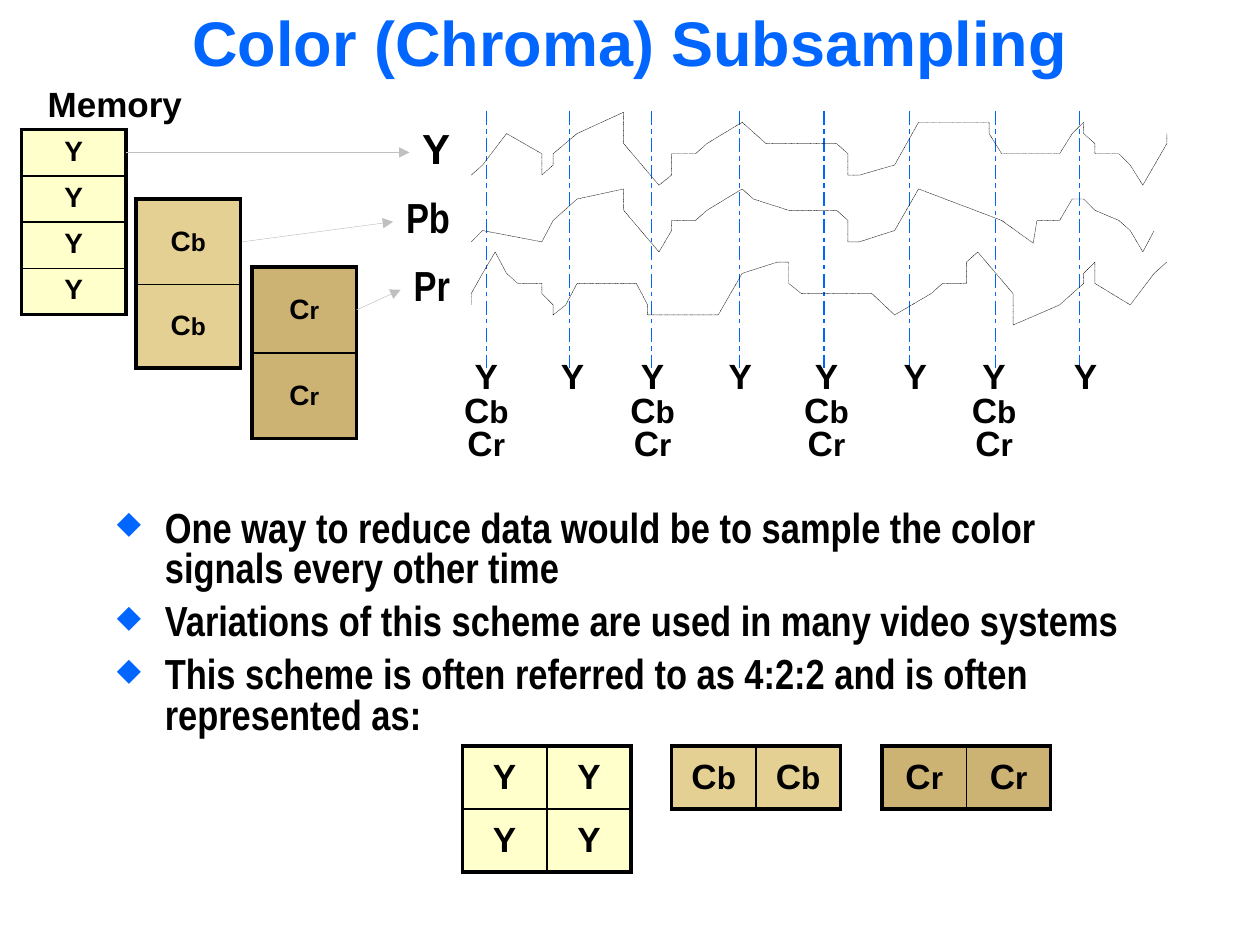
from pptx import Presentation
from pptx.dml.color import RGBColor
from pptx.enum.dml import MSO_LINE
from pptx.enum.shapes import MSO_CONNECTOR
from pptx.enum.text import MSO_ANCHOR, MSO_AUTO_SIZE, PP_ALIGN
from pptx.oxml import parse_xml
from pptx.oxml.ns import nsdecls, qn
from pptx.util import Inches, Pt
from lxml import etree

COLORS = {"blue": "0066FF", "black": "000000", "gray": "C0C0C0",
          "Y": "FFFFCC", "Cb": "E5D093", "Cr": "CCB374"}
NO_STYLE = "{2D5ABB26-0587-4C30-8999-92F81FD0307C}"


def rgb(name):
    return RGBColor.from_string(COLORS[name])


class Deck:
    sans = "Arial"
    narrow = "Arial Narrow"
    outer, inner = 2.25, 1

    def __init__(self, width, height):
        self.prs = Presentation()
        self.prs.slide_width, self.prs.slide_height = Inches(width), Inches(height)
        self.slide = self.prs.slides.add_slide(self.prs.slide_layouts[6])
        self.shapes = self.slide.shapes

    def run(self, para, text, size, font=sans, color="black"):
        run = para.add_run()
        run.text = text
        run.font.size, run.font.name, run.font.bold = Pt(size), font, True
        run.font.color.rgb = rgb(color)

    def sample(self, para, name, size):
        """A signal name whose second letter is a little smaller."""
        para.alignment = PP_ALIGN.CENTER
        self.run(para, name[0], size)
        if name[1:]:
            self.run(para, name[1:], size - 2)

    def box(self, x, y, w, h, wrap=False):
        frame = self.shapes.add_textbox(*map(Inches, (x, y, w, h))).text_frame
        frame.word_wrap = wrap
        frame.auto_size = MSO_AUTO_SIZE.SHAPE_TO_FIT_TEXT
        return frame

    def title(self, text):
        frame = self.box(0, 0.06, 10, 0.67, wrap=True)
        frame.auto_size = MSO_AUTO_SIZE.NONE
        frame.vertical_anchor = MSO_ANCHOR.MIDDLE
        frame.margin_left = frame.margin_right = Inches(0.05)
        para = frame.paragraphs[0]
        para.alignment, para.line_spacing = PP_ALIGN.CENTER, 0.75
        self.run(para, text, 36, color="blue")

    def label(self, place, text, size, font=sans, align=PP_ALIGN.RIGHT):
        para = self.box(*place).paragraphs[0]
        para.alignment, para.line_spacing = align, 0.8
        self.run(para, text, size, font)

    def stack(self, place, names):
        frame = self.box(*place)
        for i, name in enumerate(names):
            para = frame.add_paragraph() if i else frame.paragraphs[0]
            para.line_spacing = 0.8
            self.sample(para, name, 20)

    def bullets(self, place, items):
        frame = self.box(*place, wrap=True)
        for i, item in enumerate(items):
            para = frame.add_paragraph() if i else frame.paragraphs[0]
            para.line_spacing, para.space_before = 0.8, Pt(7.2)
            props = para._p.get_or_add_pPr()
            props.set("marL", str(Inches(0.38)))
            props.set("indent", str(-Inches(0.38)))
            color = etree.SubElement(props, qn("a:buClr"))
            etree.SubElement(color, qn("a:srgbClr"), val=COLORS["blue"])
            etree.SubElement(props, qn("a:buSzPct"), val="75000")
            etree.SubElement(props, qn("a:buChar"), char="◆")
            self.run(para, item, 24, self.narrow)

    def edge(self, cell, side, width, color="black", dash="solid"):
        cell._tc.get_or_add_tcPr().append(parse_xml(
            f'<a:ln{side} {nsdecls("a")} w="{Pt(width)}"><a:solidFill>'
            f'<a:srgbClr val="{COLORS[color]}"/></a:solidFill>'
            f'<a:prstDash val="{dash}"/></a:ln{side}>'))

    def table(self, x, y, cols, rows):
        size = map(Inches, (x, y, sum(cols), sum(rows)))
        table = self.shapes.add_table(len(rows), len(cols), *size).table
        table.first_row = table.horz_banding = False
        table._tbl.tblPr.find(qn("a:tableStyleId")).text = NO_STYLE
        for col, width in zip(table.columns, cols):
            col.width = Inches(width)
        for row, height in zip(table.rows, rows):
            row.height = Inches(height)
        return table

    def memory(self, x, y, cols, rows, name, size, anchor=MSO_ANCHOR.MIDDLE):
        """A block of equal samples: thick frame, thin inner lines."""
        table = self.table(x, y, cols, rows)
        for r in range(len(rows)):
            for c in range(len(cols)):
                cell = table.cell(r, c)
                ends = {"L": c == 0, "R": c == len(cols) - 1,
                        "T": r == 0, "B": r == len(rows) - 1}
                for side, end in ends.items():
                    self.edge(cell, side, self.outer if end else self.inner)
                cell.fill.solid()
                cell.fill.fore_color.rgb = rgb(name)
                cell.vertical_anchor = anchor
                self.sample(cell.text_frame.paragraphs[0], name, size)

    def clock(self, x, y, cols, rows):
        """Dashed lines between the columns mark the sampling times."""
        table = self.table(x, y, cols, rows)
        for r in range(len(rows)):
            for c in range(len(cols)):
                cell = table.cell(r, c)
                if c > 0:
                    self.edge(cell, "L", 1, "blue", "sysDashDot")
                if c < len(cols) - 1:
                    self.edge(cell, "R", 1, "blue", "sysDashDot")
                cell.fill.background()

    def wave(self, points):
        spots = [(Inches(x), Inches(y)) for x, y in points]
        pen = self.shapes.build_freeform(*spots[0])
        pen.add_line_segments(spots[1:], close=False)
        shape = pen.convert_to_shape()
        shape.shadow.inherit = False
        shape.fill.background()
        shape.line.color.rgb = rgb("black")
        shape.line.width, shape.line.dash_style = Pt(0.25), MSO_LINE.ROUND_DOT

    def arrow(self, *ends):
        line = self.shapes.add_connector(MSO_CONNECTOR.STRAIGHT, *map(Inches, ends))
        line.line.color.rgb, line.line.width = rgb("gray"), Pt(0.25)
        etree.SubElement(line.line._get_or_add_ln(), qn("a:tailEnd"), type="triangle")
        etree.SubElement(line._element.spPr, qn("a:effectLst"))


LUMA = [
    (3.74, 1.39), (3.83, 1.31), (4.02, 1.06), (4.3, 1.22), (4.3, 1.39), (4.39, 1.31),
    (4.39, 1.22), (4.58, 1.06), (4.95, 0.89), (4.95, 1.14), (5.23, 1.47), (5.33, 1.39),
    (5.33, 1.22), (5.52, 1.22), (5.61, 1.14), (5.89, 0.97), (6.08, 1.14), (6.64, 1.14),
    (6.73, 1.22), (6.73, 1.39), (6.82, 1.39), (7.1, 1.31), (7.29, 0.97), (7.85, 0.97),
    (7.85, 1.06), (7.95, 1.22), (8.41, 1.22), (8.51, 1.06), (8.6, 0.97), (8.6, 1.06),
    (8.69, 1.14), (8.69, 1.22), (8.88, 1.22), (8.97, 1.31), (9.07, 1.47), (9.26, 1.14),
    (9.26, 1.06)]
RED = [
    (9.26, 2.08), (9.16, 2.17), (8.97, 2.42), (8.69, 2.25), (8.69, 2.08), (8.6, 2.17),
    (8.6, 2.25), (8.41, 2.42), (8.04, 2.58), (8.04, 2.33), (7.76, 2), (7.67, 2.08),
    (7.67, 2.25), (7.48, 2.25), (7.39, 2.33), (7.1, 2.5), (6.92, 2.33), (6.36, 2.33),
    (6.26, 2.25), (6.26, 2.08), (6.17, 2.08), (5.89, 2.17), (5.7, 2.5), (5.14, 2.5),
    (5.14, 2.42), (5.05, 2.25), (4.58, 2.25), (4.49, 2.42), (4.39, 2.5), (4.39, 2.42),
    (4.3, 2.33), (4.3, 2.25), (4.11, 2.25), (4.02, 2.17), (3.93, 2), (3.83, 2.17),
    (3.74, 2.33), (3.74, 2.42)]
BLUE = [
    (3.74, 1.92), (3.83, 1.83), (4.3, 1.92), (4.39, 1.75), (4.58, 1.58), (4.95, 1.5),
    (4.95, 1.67), (5.23, 2), (5.33, 1.83), (5.33, 1.75), (5.52, 1.75), (5.61, 1.67),
    (5.89, 1.5), (5.98, 1.58), (6.26, 1.67), (6.64, 1.67), (6.73, 1.75), (6.73, 1.92),
    (6.82, 1.92), (7.1, 1.83), (7.29, 1.5), (7.95, 1.75), (8.2, 1.93), (8.23, 1.75),
    (8.41, 1.75), (8.51, 1.58), (8.6, 1.58), (8.69, 1.67), (8.88, 1.75), (8.97, 1.83),
    (9.07, 2), (9.16, 1.83)]


def main():
    deck = Deck(10, 7.5)

    # Sampling times and title
    deck.clock(3.17, 0.88, [0.69, 0.66, 0.65, 0.7, 0.67, 0.68, 0.68, 0.67, 0.68], [0.51] * 4)
    deck.title("Color (Chroma) Subsampling")

    # Signals
    deck.label((0.28, 0.67, 1.27, 0.37), "Memory", 20, align=PP_ALIGN.LEFT)
    deck.label((3.25, 1, 0.42, 0.42), "Y", 24)
    deck.label((3.12, 1.55, 0.55, 0.42), "Pb", 24, deck.narrow)
    deck.label((3.18, 2.09, 0.49, 0.42), "Pr", 24, deck.narrow)
    for points in (LUMA, RED, BLUE):
        deck.wave(points)

    # Findings
    deck.bullets((0.83, 4.01, 8.42, 1.94), [
        "One way to reduce data would be to sample the color signals every other time",
        "Variations of this scheme are used in many video systems",
        "This scheme is often referred to as 4:2:2 and is often represented as:"])

    # Memory blocks and their arrows
    deck.memory(0.17, 1.03, [0.83], [0.35] * 4, "Y", 16, MSO_ANCHOR.TOP)
    deck.memory(1.08, 1.58, [0.83], [0.68, 0.66], "Cb", 16)
    deck.memory(2, 2.12, [0.83], [0.68] * 2, "Cr", 16)
    deck.arrow(1, 1.21, 3.25, 1.21)
    deck.arrow(1.92, 1.92, 3.12, 1.76)
    deck.arrow(2.83, 2.46, 3.18, 2.3)

    # Samples taken: every time, and every other time with color
    for x in (3.58, 4.9, 6.28, 7.61):
        deck.stack((x, 2.83, 0.56, 0.9), ["Y", "Cb", "Cr"])
    for x in (4.35, 5.68, 7.07, 8.42):
        deck.stack((x, 2.83, 0.39, 0.37), ["Y"])

    # 4:2:2 blocks
    for x, name, count in ((3.67, "Y", 2), (5.33, "Cb", 1), (7, "Cr", 1)):
        deck.memory(x, 5.92, [0.67] * 2, [0.5] * count, name, 20)

    deck.prs.save("out.pptx")


if __name__ == "__main__":
    main()
